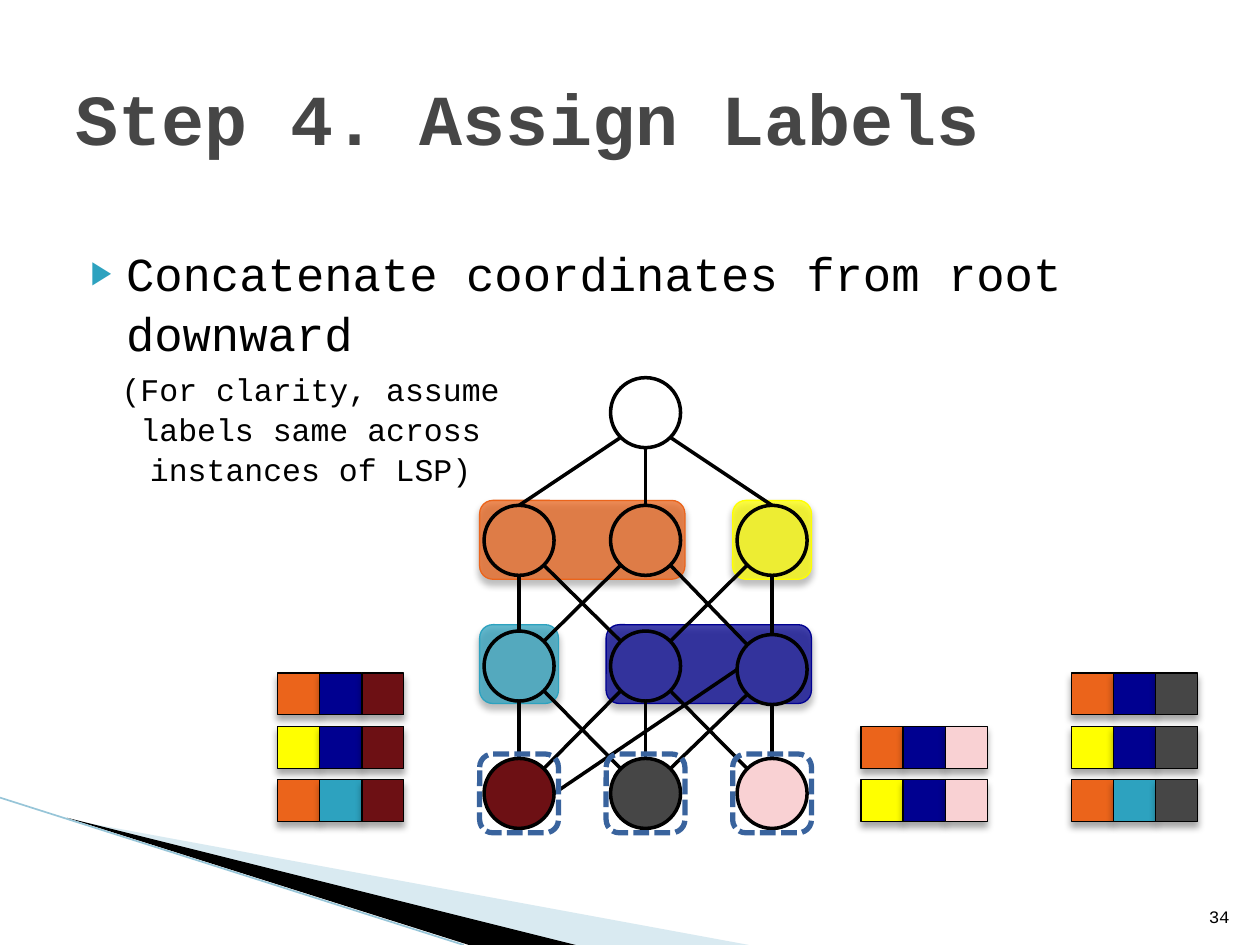
from math import cos, radians, sin

from lxml import etree
from pptx import Presentation
from pptx.dml.color import RGBColor
from pptx.enum.dml import MSO_LINE
from pptx.enum.shapes import MSO_CONNECTOR, MSO_SHAPE
from pptx.enum.text import MSO_ANCHOR as ANCHOR, MSO_AUTO_SIZE, PP_ALIGN as ALIGN
from pptx.oxml.ns import qn
from pptx.util import Pt

# Content
TITLE = "Step 4. Assign Labels"
BULLET = "Concatenate coordinates from root downward"
CAPTION = "(For clarity, assume labels same across instances of LSP)"
PAGE = "34"
FONT = "Courier New"
COLORS = {
    "black": "000000", "gray": "464646", "orange": "EB641B", "yellow": "FFFF00",
    "teal": "2DA2BF", "navy": "000090", "maroon": "6D1014", "pink": "F9D1D3",
    "dash": "39639D", "wedge": "A0CBDC", "edge": "97C5D8",
}

# Lattice: name -> (column, row), leaf fills, parent -> children
NODES = {"root": (1, 0),
         "A": (0, 1), "B": (1, 1), "C": (2, 1),
         "D": (0, 2), "E": (1, 2), "F": (2, 2),
         "G": (0, 3), "H": (1, 3), "I": (2, 3)}
LEAVES = {"G": "maroon", "H": "gray", "I": "pink"}
EDGES = {"root": "ABC", "A": "DE", "B": "DF", "C": "EF", "D": "GH", "E": "GHI", "F": "GHI"}
# Label groups: first column, last column, top, colour
BANDS = [(0, 0, 357, "teal"), (1, 2, 357, "navy"), (2, 2, 286, "yellow"), (0, 1, 286, "orange")]
# Label stacks: left, first row, prefixes, leaf colour
UPPER = [("orange", "navy"), ("yellow", "navy")]
FULL = UPPER + [("orange", "teal")]
STACKS = [(492, 1, UPPER, "pink"), (612.2, 0, FULL, "gray"), (158.6, 0, FULL, "maroon")]

# Geometry
COL_X, COL_STEP, ROW_Y = 296.6, 72.3, (235.8, 308.8, 380.6, 453.4)
DIAMETER, BOX = 40, 45
CELL, CELL_STEP, STACK_TOP, STACK_STEP = 24, 24.1, 384.5, 30.5
# Column offset of child -> angles at which the edge leaves and arrives
SITES = {0: (90, 270), -1: (135, 315), 1: (45, 225), -2: (180, 0)}


def rgb(name):
    return RGBColor.from_string(COLORS[name])


def set_alpha(shape, percent):
    clr = shape.fill._xPr.find(qn("a:solidFill"))[0]
    etree.SubElement(clr, qn("a:alpha")).set("val", str(percent * 1000))


def add_shadow(shape):
    effects = shape._element.spPr.find(qn("a:effectLst"))
    shadow = etree.SubElement(effects, qn("a:outerShdw"), blurRad=str(Pt(4)),
                              dist=str(Pt(3)), dir="5400000", rotWithShape="0")
    clr = etree.SubElement(shadow, qn("a:srgbClr"), val=COLORS["black"])
    etree.SubElement(clr, qn("a:alpha"), val="35000")


def paint(shape, fill=None, line=None, width=0.75):
    shape.shadow.inherit = False
    if fill:
        shape.fill.solid()
        shape.fill.fore_color.rgb = rgb(fill)
    else:
        shape.fill.background()
    if line:
        shape.line.color.rgb = rgb(line)
        shape.line.width = Pt(width)
    else:
        shape.line.fill.background()
    return shape


def add_box(shapes, kind, x, y, w, h, *style):
    return paint(shapes.add_shape(kind, Pt(x), Pt(y), Pt(w), Pt(h)), *style)


def add_line(start, end, color, width):
    line = s.shapes.add_connector(MSO_CONNECTOR.STRAIGHT, *map(Pt, start + end))
    line.line.color.rgb = rgb(color)
    line.line.width = Pt(width)
    etree.SubElement(line._element.spPr, qn("a:effectLst"))


def add_wedge(points, color):
    builder = s.shapes.build_freeform(Pt(points[0][0]), Pt(points[0][1]))
    builder.add_line_segments([(Pt(x), Pt(y)) for x, y in points[1:]])
    return paint(builder.convert_to_shape(), color)


def set_text(sp, box, text, size, color="black", align=ALIGN.LEFT, anchor=ANCHOR.TOP, bold=False):
    sp.left, sp.top, sp.width, sp.height = map(Pt, box)
    tf = sp.text_frame
    tf.text = text
    tf.word_wrap = True
    tf.auto_size = MSO_AUTO_SIZE.NONE
    tf.vertical_anchor = anchor
    p = tf.paragraphs[0]
    p.alignment = align
    p.space_before = Pt(0)
    font = p.runs[0].font
    font.name, font.size, font.bold = FONT, Pt(size), bold
    font.color.rgb = rgb(color)
    return tf


def center(name):
    col, row = NODES[name]
    return COL_X + col * COL_STEP, ROW_Y[row] + (2 if name == "F" else 0)


def site(name, angle):
    x, y = center(name)
    return (x + DIAMETER / 2 * cos(radians(angle)), y + DIAMETER / 2 * sin(radians(angle)))


prs = Presentation()
prs.slide_width, prs.slide_height = Pt(720), Pt(540)
s = prs.slides.add_slide(prs.slide_layouts[1])

# Corner decoration
set_alpha(add_wedge([(39.6, 468.4), (428, 540), (328, 540)], "wedge"), 40)
add_wedge([(38.2, 467.3), (329, 540), (268, 540)], "black")
add_line((0, 455.8), (265, 540), "edge", 0.95)

# Title and bullet
set_text(s.shapes.title, (36, 21.6, 648, 90), TITLE, 41, "gray", anchor=ANCHOR.MIDDLE, bold=True)
tf = set_text(s.placeholders[1], (36, 129.6, 648, 78.5), BULLET, 27)
tf.margin_top = Pt(8)
p = tf.paragraphs[0]
p.line_spacing = 1.06
pPr = p._p.get_or_add_pPr()
pPr.set("marL", str(Pt(28.8)))
pPr.set("indent", str(Pt(-20.2)))
clr = etree.SubElement(pPr, qn("a:buClr"))
etree.SubElement(clr, qn("a:srgbClr"), val=COLORS["teal"])
etree.SubElement(pPr, qn("a:buSzPct"), val="68000")
etree.SubElement(pPr, qn("a:buChar"), char="▶")

# Label groups behind the lattice
for first, last, top, color in BANDS:
    band = add_box(s.shapes, MSO_SHAPE.ROUNDED_RECTANGLE, COL_X + first * COL_STEP - BOX / 2,
                   top, BOX + (last - first) * COL_STEP, BOX, color, color)
    set_alpha(band, 73)
    add_shadow(band)

# Lattice nodes and edges
for name in NODES:
    x, y = center(name)
    add_box(s.shapes, MSO_SHAPE.OVAL, x - DIAMETER / 2, y - DIAMETER / 2,
            DIAMETER, DIAMETER, LEAVES.get(name), "black", 2)
for parent, children in EDGES.items():
    for child in children:
        leave, arrive = SITES[NODES[child][0] - NODES[parent][0]]
        if parent == "root":
            arrive = 270
        add_line(site(parent, leave), site(child, arrive), "black", 2)

# Dashed frames round the leaves
for name in LEAVES:
    x, y = center(name)
    frame = add_box(s.shapes, MSO_SHAPE.ROUNDED_RECTANGLE, x - BOX / 2, y - BOX / 2,
                    BOX, BOX, None, "dash", 3)
    frame.line.dash_style = MSO_LINE.SQUARE_DOT

# Label stacks
for left, first_row, prefixes, leaf in STACKS:
    group = s.shapes.add_group_shape()
    for row, prefix in enumerate(prefixes, first_row):
        for col, color in enumerate(prefix + (leaf,)):
            add_shadow(add_box(group.shapes, MSO_SHAPE.RECTANGLE, left + col * CELL_STEP,
                               STACK_TOP + row * STACK_STEP, CELL, CELL, color, "black"))

# Caption and page number
tf = set_text(s.shapes.add_textbox(0, 0, 0, 0), (36, 204.5, 283, 68.4), CAPTION, 18,
              align=ALIGN.CENTER)
tf.margin_top = Pt(6)
tf.paragraphs[0].line_spacing = 1.05
set_text(s.shapes.add_textbox(0, 0, 0, 0), (681, 504.7, 28.8, 28.8), PAGE, 10,
         align=ALIGN.RIGHT, anchor=ANCHOR.BOTTOM)

prs.save("out.pptx")
